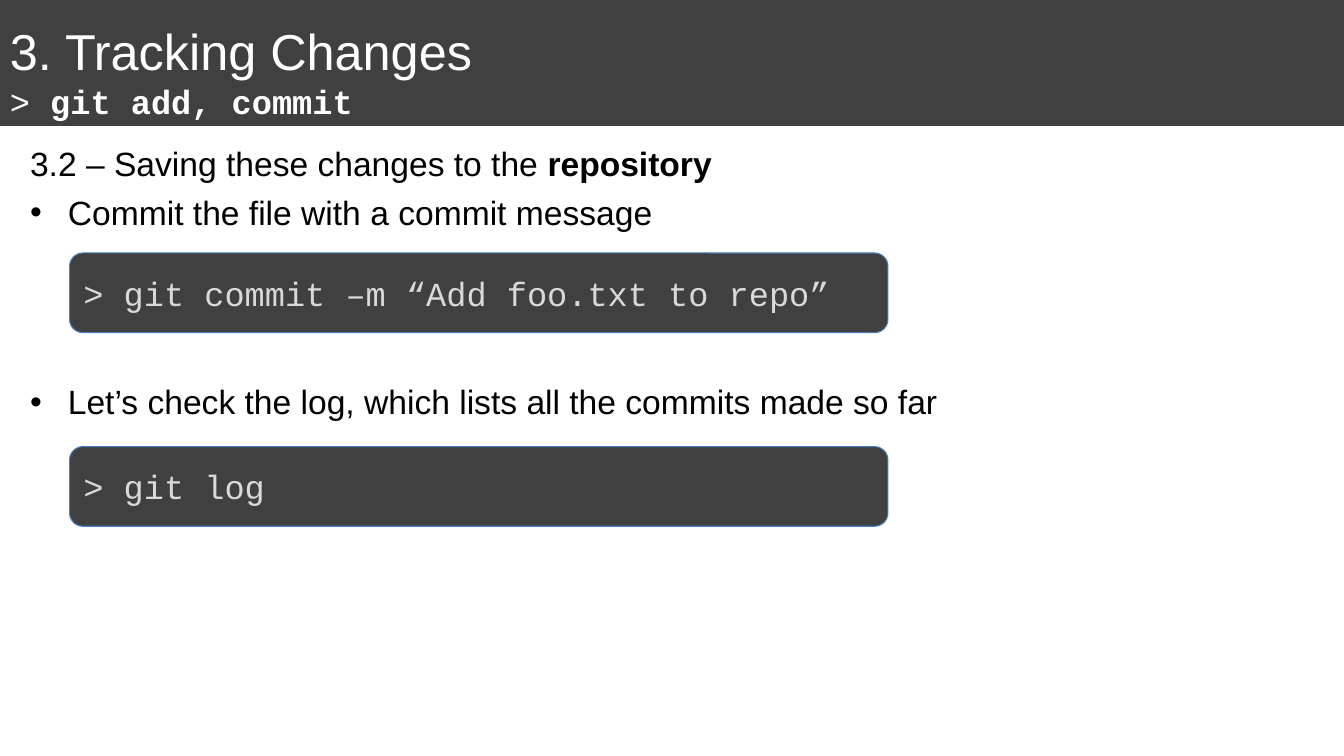
from pptx import Presentation
from pptx.dml.color import RGBColor
from pptx.enum import shapes, text
from pptx.util import Pt
from lxml import etree

SANS, MONO = "Arial", "Courier New"
DARK, WHITE, BLACK = "404040", "FFFFFF", "000000"
CODE_TEXT, CODE_LINE = "D9D9D9", "4B7EBC"
SLIDE_W, SLIDE_H = 960, 540
HEADER_H = 90


def rgb(value):
    return RGBColor.from_string(value)


def style(r, font, size, color, bold=False):
    r.font.name = font
    r.font.size = Pt(size)
    r.font.bold = bold
    r.font.color.rgb = rgb(color)


def add_run(p, content, *look):
    r = p.add_run()
    r.text = content
    style(r, *look)


def add_panel(s, kind, left, top, width, height, anchor, line=None):
    """Add a dark shape and return its left-aligned first paragraph."""
    sp = s.shapes.add_shape(kind, Pt(left), Pt(top), Pt(width), Pt(height))
    sp.shadow.inherit = False
    sp.fill.solid()
    sp.fill.fore_color.rgb = rgb(DARK)
    if line:
        sp.line.color.rgb = rgb(line)
        sp.line.width = Pt(0.75)
    else:
        sp.line.fill.background()
    tf = sp.text_frame
    tf.word_wrap = True
    tf.vertical_anchor = anchor
    p = tf.paragraphs[0]
    p.alignment = text.PP_ALIGN.LEFT
    return p


def add_header(s, title, command):
    p = add_panel(s, shapes.MSO_SHAPE.RECTANGLE, 0, 0, SLIDE_W, HEADER_H,
                  text.MSO_ANCHOR.BOTTOM)
    add_run(p, title, SANS, 36, WHITE)
    p.add_line_break()
    add_run(p, "> ", MONO, 24, WHITE)
    add_run(p, command, MONO, 24, WHITE, True)


def add_code(s, top, command):
    p = add_panel(s, shapes.MSO_SHAPE.ROUNDED_RECTANGLE, 49.7, top, 584.6, 56.9,
                  text.MSO_ANCHOR.MIDDLE, CODE_LINE)
    p.text = command
    style(p.runs[0], MONO, 24, CODE_TEXT)


def add_bullet(tf, content, space_before):
    p = tf.add_paragraph()
    p.text = content
    p.space_before = Pt(space_before)
    pPr = p._p.get_or_add_pPr()
    pPr.set("marL", str(Pt(27)))
    pPr.set("indent", str(-Pt(27)))
    ns = pPr.nsmap["a"]
    etree.SubElement(pPr, f"{{{ns}}}buFont", typeface=SANS)
    etree.SubElement(pPr, f"{{{ns}}}buChar", char="•")
    style(p.runs[0], SANS, 24, BLACK)


def add_body(s, lead, keyword, bullets):
    sp = s.shapes.add_textbox(Pt(14.4), Pt(98.6), Pt(930.2), Pt(441.4))
    tf = sp.text_frame
    tf.word_wrap = True
    p = tf.paragraphs[0]
    add_run(p, lead, SANS, 24, BLACK)
    add_run(p, keyword, SANS, 24, BLACK, True)
    for content, space_before in bullets:
        add_bullet(tf, content, space_before)


def main():
    prs = Presentation()
    prs.slide_width, prs.slide_height = Pt(SLIDE_W), Pt(SLIDE_H)
    s = prs.slides.add_slide(prs.slide_layouts[6])
    add_header(s, "3. Tracking Changes", "git add, commit")
    add_body(s, "3.2 – Saving these changes to the ", "repository", [
        ("Commit the file with a commit message", 6),
        ("Let’s check the log, which lists all the commits made so far", 106.7),
    ])
    add_code(s, 180.7, "> git commit –m “Add foo.txt to repo”")
    add_code(s, 319, "> git log")
    prs.save("out.pptx")


if __name__ == "__main__":
    main()
